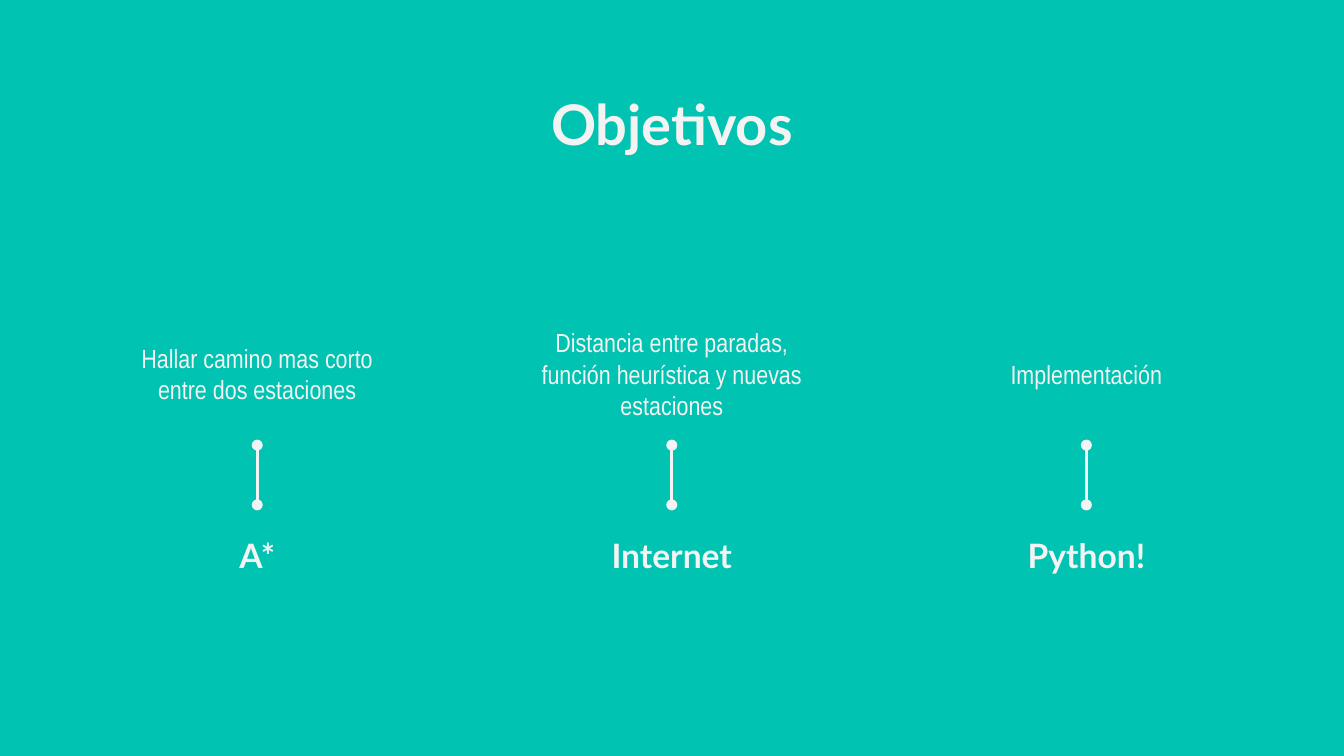
"""Build the "Objetivos" slide: three goals, each linked to its means."""
from dataclasses import dataclass

from lxml.etree import SubElement
from pptx import Presentation
from pptx.dml.color import RGBColor
from pptx.enum.shapes import MSO_CONNECTOR
from pptx.enum.text import MSO_ANCHOR, PP_ALIGN
from pptx.oxml.ns import qn
from pptx.util import Pt


@dataclass(frozen=True)
class Theme:
    background: RGBColor = RGBColor(0x00, 0xC3, 0xB1)
    light: RGBColor = RGBColor(0xF3, 0xF3, 0xF3)
    heading_font: str = "Lato"
    body_font: str = "Arial Narrow"
    title_size: int = 30
    label_size: int = 18
    body_size: int = 14


theme = Theme()


def write_text(box, text, font_name, size, bold, anchor, margin):
    frame = box.text_frame
    frame.text = text
    frame.word_wrap = True
    frame.vertical_anchor = anchor
    frame.margin_left = frame.margin_right = Pt(margin)
    frame.margin_top = frame.margin_bottom = Pt(margin)
    para = frame.paragraphs[0]
    para.alignment = PP_ALIGN.CENTER
    para.line_spacing = 1.0
    para.space_before = Pt(0)
    font = para.runs[0].font
    font.name = font_name
    font.size = Pt(size)
    font.bold = bold
    font.color.rgb = theme.light


def add_oval_line(slide, center, top, bottom):
    line = slide.shapes.add_connector(
        MSO_CONNECTOR.STRAIGHT, Pt(center), Pt(top), Pt(center), Pt(bottom)
    )
    line.line.color.rgb = theme.light
    line.line.width = Pt(1.5)
    outline = line.line._get_or_add_ln()
    for end in ("a:headEnd", "a:tailEnd"):
        SubElement(outline, qn(end), type="oval", w="med", len="med")
    SubElement(line._element.spPr, qn("a:effectLst"))


deck = Presentation()
deck.slide_width = Pt(720)
deck.slide_height = Pt(405)
slide = deck.slides.add_slide(deck.slide_layouts[5])
slide.background.fill.solid()
slide.background.fill.fore_color.rgb = theme.background

title = slide.shapes.title
title.left, title.top, title.width, title.height = Pt(56.7), Pt(40.5), Pt(606.6), Pt(45)
write_text(title, "Objetivos", theme.heading_font, theme.title_size, True, MSO_ANCHOR.TOP, 7.2)

goals = [
    ("Hallar camino mas corto entre dos estaciones", "A*"),
    ("Distancia entre paradas, función heurística y nuevas estaciones", "Internet"),
    ("Implementación", "Python!"),
]
first_center, column_pitch = 137.8, 222.1
goal_top, goal_width, goal_height = 162, 162, 76.5
label_top, label_width, label_height = 270.5, 121, 54

for index, (goal, label) in enumerate(goals):
    center = first_center + index * column_pitch
    goal_box = slide.shapes.add_textbox(
        Pt(center - goal_width / 2), Pt(goal_top), Pt(goal_width), Pt(goal_height)
    )
    write_text(goal_box, goal, theme.body_font, theme.body_size, False, MSO_ANCHOR.MIDDLE, 7.2)
    label_box = slide.shapes.add_textbox(
        Pt(center - label_width / 2), Pt(label_top), Pt(label_width), Pt(label_height)
    )
    write_text(label_box, label, theme.heading_font, theme.label_size, True, MSO_ANCHOR.MIDDLE, 0)
    add_oval_line(slide, center, goal_top + goal_height, label_top)

deck.save("out.pptx")
